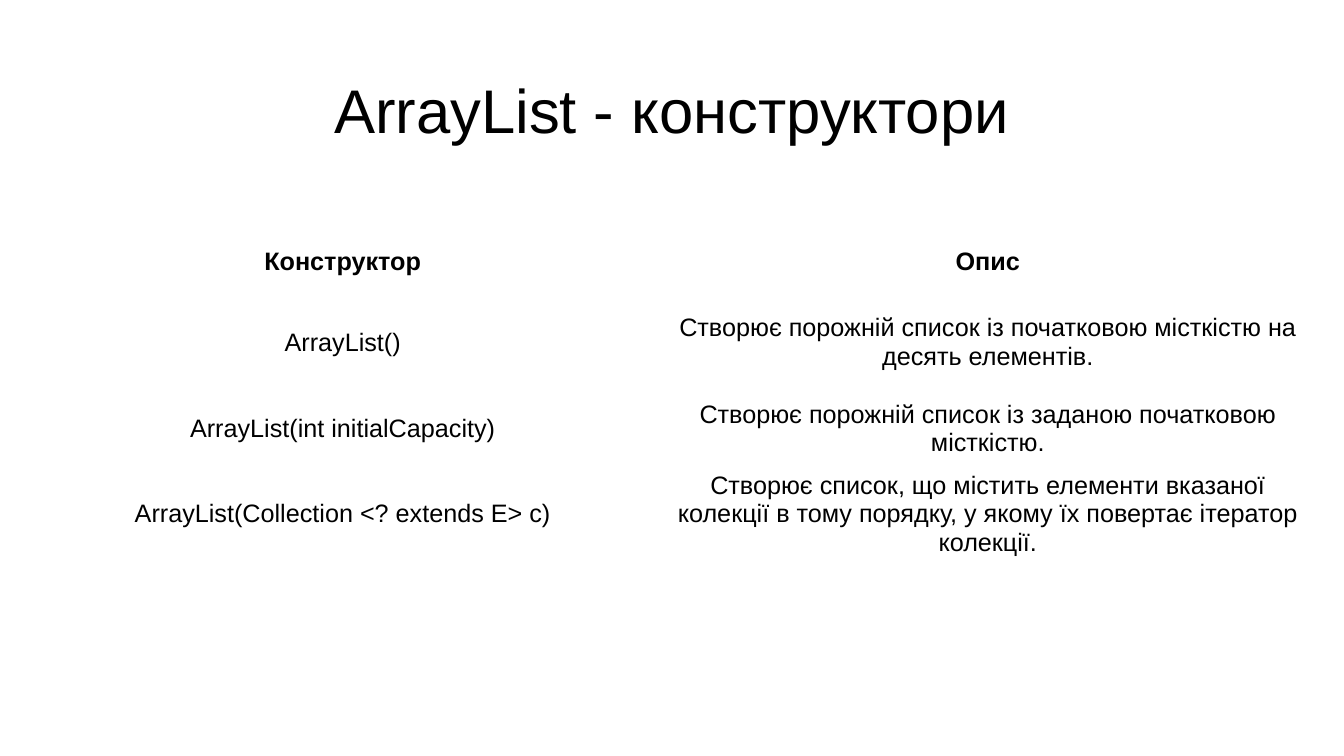
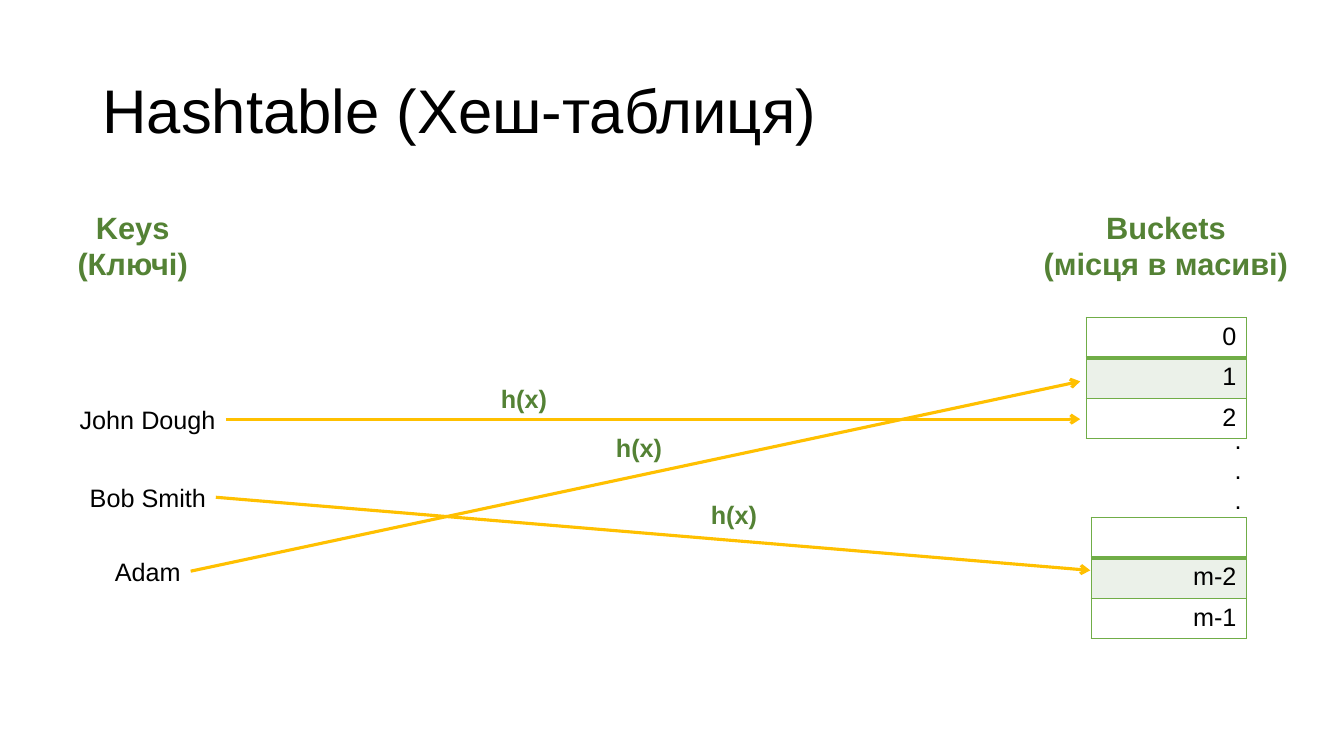
from dataclasses import dataclass
from lxml.etree import SubElement
from pptx import Presentation
from pptx.dml.color import RGBColor
from pptx.enum.shapes import MSO_CONNECTOR
from pptx.enum.text import MSO_ANCHOR, MSO_AUTO_SIZE, PP_ALIGN
from pptx.oxml import parse_xml
from pptx.oxml.ns import nsdecls, qn
from pptx.util import Inches, Pt

LEFT, MID, RIGHT = PP_ALIGN.LEFT, PP_ALIGN.CENTER, PP_ALIGN.RIGHT


@dataclass(frozen=True)
class Theme:
    font: str = "Arial"
    ink: str = "000000"
    paper: str = "FFFFFF"
    band: str = "EBF1E9"
    edge: str = "70AD47"
    green: str = "548235"
    gold: str = "FFC000"
    title: int = 44
    head: int = 22
    body: int = 18
    thin: float = 1
    thick: float = 3
    arrow: float = 2.25


def put(item, form):
    for key, value in form.items():
        setattr(item, key, value)


class Deck:
    """Holds the style and the current slide; lengths are grid units."""

    COLS, ROWS = 160, 90

    def __init__(self, theme):
        self.theme = theme
        self.file = Presentation()
        put(self.file, {"slide_width": Inches(13.333), "slide_height": Inches(7.5)})
        self.slide = None

    def x(self, cols):
        return round(self.file.slide_width * cols / self.COLS)

    def y(self, rows):
        return round(self.file.slide_height * rows / self.ROWS)

    def box(self, x, y, w, h):
        return self.x(x), self.y(y), self.x(w), self.y(h)

    def text(self, frame, words, size, color=None, bold=False, align=LEFT, gap=None):
        par = frame.paragraphs[0]
        par.text = words
        put(par, {"alignment": align, "line_spacing": gap})
        form = {"name": self.theme.font, "size": Pt(size), "bold": bold}
        for run in par.runs:
            put(run.font, form)
            run.font.color.rgb = RGBColor.from_string(color or self.theme.ink)

    # Slide with its title
    def page(self, title, align=LEFT):
        self.slide = self.file.slides.add_slide(self.file.slide_layouts[6])
        frame = self.slide.shapes.add_textbox(*self.box(11, 4.8, 138, 17.4)).text_frame
        put(frame, {"word_wrap": True, "vertical_anchor": MSO_ANCHOR.MIDDLE})
        self.text(frame, title, self.theme.title, align=align, gap=0.9)

    # Text placed around a centre column
    def label(self, words, mid, top, w, h=4.8, size=None, wrap=False, **look):
        shape = self.slide.shapes.add_textbox(*self.box(mid - w / 2, top, w, h))
        put(shape.text_frame, {"word_wrap": wrap,
                               "auto_size": MSO_AUTO_SIZE.SHAPE_TO_FIT_TEXT})
        self.text(shape.text_frame, words, size or self.theme.body, **look)
        return shape

    def head(self, words, mid, w):
        self.label(words, mid, 24.2, w, 10, self.theme.head, True,
                   color=self.theme.green, bold=True, align=MID)

    # Arrow that leaves the right side of a label
    def arrow(self, start, x, y):
        line = self.slide.shapes.add_connector(
            MSO_CONNECTOR.STRAIGHT, 0, 0, self.x(x), self.y(y))
        line.begin_connect(start, 3)
        line.line.color.rgb = RGBColor.from_string(self.theme.gold)
        line.line.width = Pt(self.theme.arrow)
        props = line._element.spPr
        SubElement(props.find(qn("a:ln")), qn("a:tailEnd"), type="arrow")
        SubElement(props, qn("a:effectLst"))

    # Table cells
    def cell(self, cell, words, fill, anchor, **look):
        cell.vertical_anchor = anchor
        cell.fill.solid()
        cell.fill.fore_color.rgb = RGBColor.from_string(fill)
        self.text(cell.text_frame, words, self.theme.body, **look)

    def edges(self, cell, top, foot):
        thin = self.theme.thin
        sides = {"L": thin, "R": thin, "T": top, "B": foot}
        for spot, (side, width) in enumerate(sides.items()):
            line = parse_xml(
                f'<a:ln{side} {nsdecls("a")} w="{Pt(width)}"><a:solidFill>'
                f'<a:srgbClr val="{self.theme.edge}"/></a:solidFill></a:ln{side}>')
            cell._tc.get_or_add_tcPr().insert(spot, line)

    def grid(self, rows, x, y, wide, highs):
        count = len(rows[0])
        table = self.slide.shapes.add_table(
            len(rows), count, *self.box(x, y, wide * count, sum(highs))).table
        put(table, {"first_row": False, "horz_banding": False})
        for col in table.columns:
            col.width = self.x(wide)
        for row, high in zip(table.rows, highs):
            row.height = self.y(high)
        return table

    def table(self, rows, *place):
        table = self.grid(rows, *place)
        for r, row in enumerate(rows):
            for c, words in enumerate(row):
                self.cell(table.cell(r, c), words, self.theme.paper,
                          MSO_ANCHOR.MIDDLE, bold=r == 0, align=MID)

    # Column of array slots, set by its right edge
    def slots(self, names, right, y, wide):
        table = self.grid([[n] for n in names], right - wide, y, wide,
                          [4.78] * len(names))
        look = self.theme
        for r, name in enumerate(names):
            slot = table.cell(r, 0)
            self.cell(slot, name, look.band if r % 2 else look.paper,
                      MSO_ANCHOR.TOP, align=RIGHT)
            self.edges(slot, look.thick if r == 1 else look.thin,
                       look.thick if r == 0 else look.thin)


def main():
    theme = Theme()
    deck = Deck(theme)

    # Constructors
    deck.page("ArrayList - конструктори", MID)
    deck.table([
        ("Конструктор", "Опис"),
        ("ArrayList()",
         "Створює порожній список із початковою місткістю на десять елементів."),
        ("ArrayList(int initialCapacity)",
         "Створює порожній список із заданою початковою місткістю."),
        ("ArrayList(Collection <? extends E> c)",
         "Створює список, що містить елементи вказаної колекції в тому порядку, "
         "у якому їх повертає ітератор колекції."),
    ], 2.4, 27.7, 76.8, (7, 12.1, 7, 7))

    # Hash table: slots and heads
    deck.page("Hashtable (Хеш-таблиця)")
    deck.slots(("0", "1", "2"), 148.4, 37.8, 19.1)
    deck.slots(("", "m-2", "m-1"), 148.4, 61.6, 18.5)
    deck.head("Buckets\n(місця в масиві)", 138.8, 34.8)
    deck.head("Keys\n(Ключі)", 15.8, 15.8)

    # Keys, each with an arrow to its slot
    for name, top, wide, end in (
        ("Adam", 65.6, 10.2, (128.6, 45.4)),
        ("Bob Smith", 56.8, 16.2, (129.8, 67.9)),
        ("John Dough", 47.5, 18.6, (128.6, 49.9)),
    ):
        deck.arrow(deck.label(name, 17.6, top, wide), *end)

    # Hash function marks
    for mid, top in ((62.4, 45), (76.1, 50.9), (87.4, 58.8)):
        deck.label("h(x)", mid, top, 7.9, color=theme.green, bold=True)
    deck.label(".\n.\n.", 147.4, 49.9, 3.2, 12)

    deck.file.save("out.pptx")


if __name__ == "__main__":
    main()
